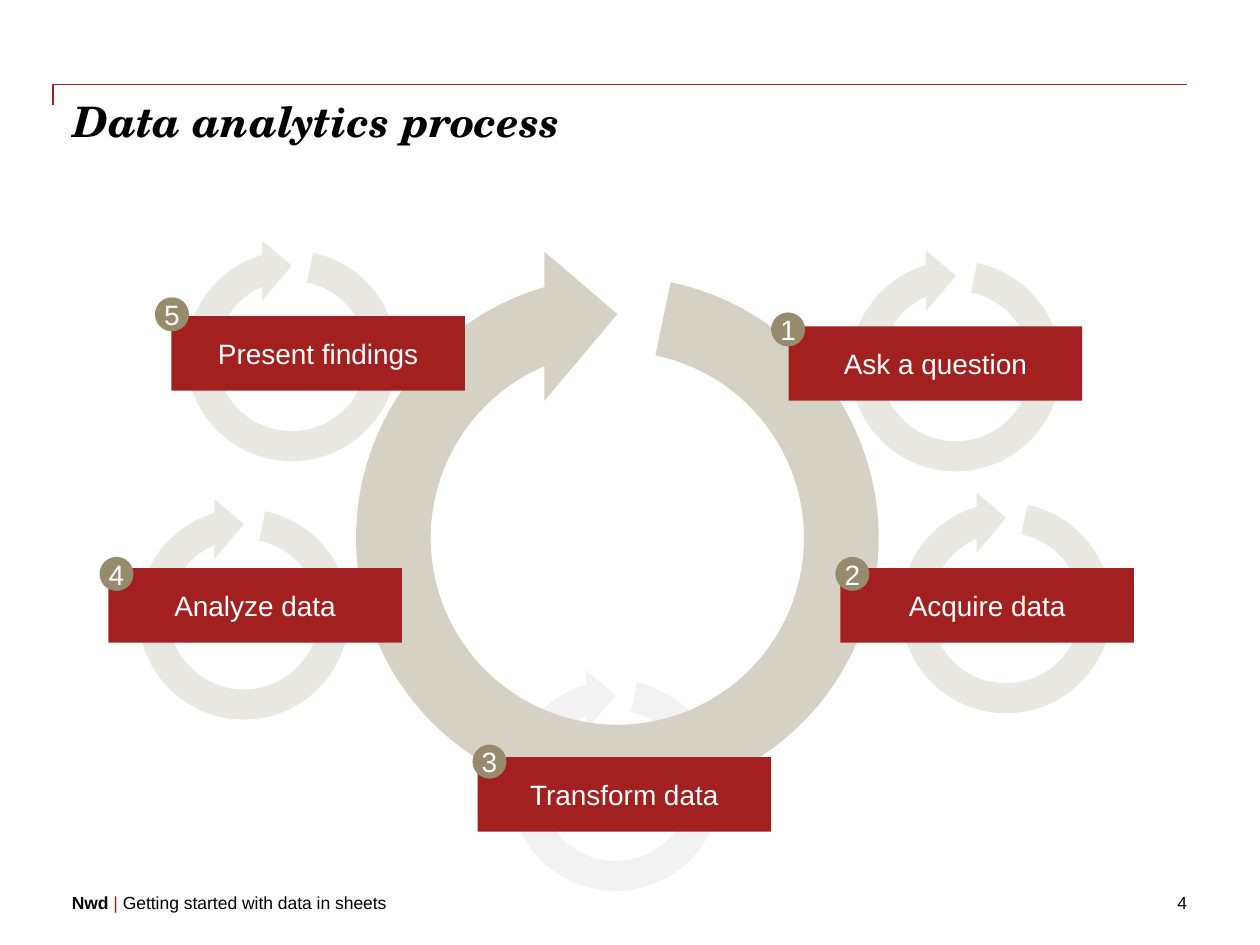
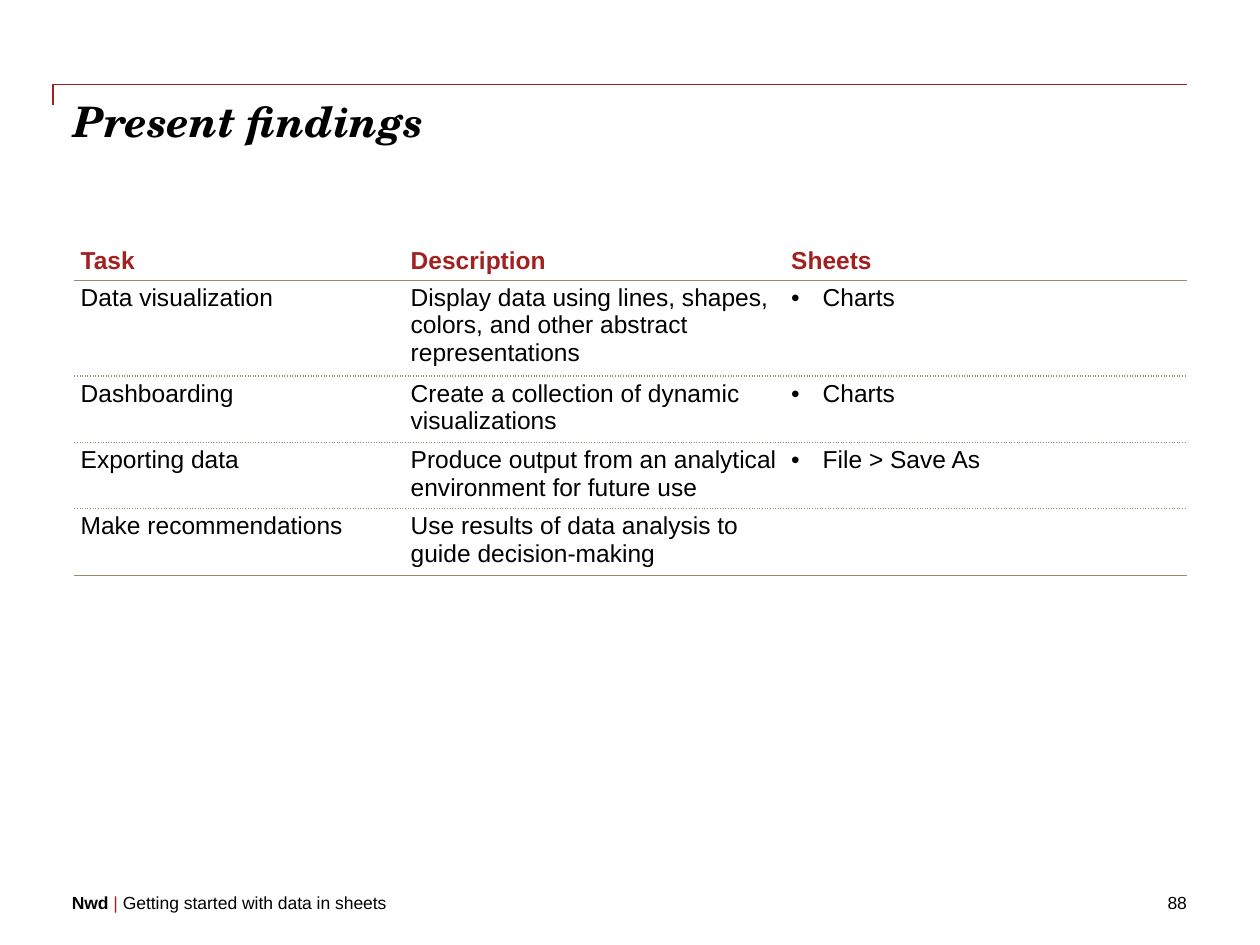
from lxml.etree import SubElement
from pptx import Presentation
from pptx.dml.color import RGBColor
from pptx.enum.shapes import MSO_SHAPE
from pptx.enum.text import MSO_ANCHOR, PP_ALIGN
from pptx.oxml.ns import qn
from pptx.util import Emu, Inches, Pt

RED = RGBColor(0xA3, 0x20, 0x20)
OLIVE = RGBColor(0x96, 0x8C, 0x6D)
SAND = RGBColor(0xD5, 0xD1, 0xC5)
PALE_SAND = RGBColor(0xEA, 0xE8, 0xE2)
PALE_GREY = RGBColor(0xF2, 0xF2, 0xF2)
BLACK = RGBColor(0, 0, 0)
WHITE = RGBColor(255, 255, 255)

TITLE = {"name": "TeX Gyre Schola", "size": Pt(24), "bold": True, "italic": True}
SMALL = {"name": "Arial", "size": Pt(10)}
LABEL = {"name": "Arial", "size": Pt(16)}
BODY = {"name": "Arial", "size": Pt(14)}
HEADING = {**BODY, "bold": True}

SLIDE_WIDTH, SLIDE_HEIGHT = 10, 7.5
LEFT, RIGHT = 0.58, 9.42
RULE_LEFT, RULE_TOP, RULE_FOOT = 0.42, 0.67, 0.83
FOOTER_TOP, FOOTER_HEIGHT, FOOTER_SPLIT = 7.08, 0.17, 7.75
FOOTER = [("Nwd ", {**SMALL, "bold": True}, BLACK), ("| ", SMALL, RED),
          ("Getting started with data in sheets", SMALL, BLACK)]

# label, left and top of the box, the number badge and the small ring, ring colour
STEPS = [
    ("Ask a question", (6.26, 2.59), (6.12, 2.48), (6.63, 1.95), PALE_SAND),
    ("Acquire data", (6.67, 4.51), (6.63, 4.42), (7.03, 3.87), PALE_SAND),
    ("Transform data", (3.79, 6.01), (3.75, 5.91), (3.93, 5.28), PALE_GREY),
    ("Analyze data", (0.86, 4.51), (0.79, 4.42), (0.98, 3.92), PALE_SAND),
    ("Present findings", (1.36, 2.51), (1.23, 2.36), (1.36, 1.87), PALE_SAND),
]
BOX_SIZE, BADGE_SIZE = (2.33, 0.59), (0.27, 0.27)
SMALL_RING, LARGE_RING, LARGE_RING_AT = 1.91, 4.74, (2.53, 1.9)
RING_ADJUSTMENTS = (0.125, 11.42, 204.58, 7.06, 0.125)

TASKS = [
    ("Task", "Description", "Sheets"),
    ("Data visualization",
     "Display data using lines, shapes, colors, and other abstract representations", "Charts"),
    ("Dashboarding", "Create a collection of dynamic visualizations", "Charts"),
    ("Exporting data",
     "Produce output from an analytical environment for future use", "File > Save As"),
    ("Make recommendations", "Use results of data analysis to guide decision-making", ""),
]
TABLE_TOP = 1.93
COLUMN_WIDTHS = (2.62, 3.02, 3.19)
ROW_HEIGHTS = (0.28, 0.72, 0.5, 0.5, 0.5)


def add_run(paragraph, text, style, color):
    run = paragraph.add_run()
    run.text = text
    for attribute, value in style.items():
        setattr(run.font, attribute, value)
    run.font.color.rgb = color


def set_margins(target, horizontal, vertical):
    for side in ("left", "right"):
        setattr(target, f"margin_{side}", Inches(horizontal))
    for side in ("top", "bottom"):
        setattr(target, f"margin_{side}", Inches(vertical))


def add_text(slide, left, top, width, height, runs, align=PP_ALIGN.LEFT):
    frame = slide.shapes.add_textbox(*map(Inches, (left, top, width, height))).text_frame
    frame.word_wrap = True
    set_margins(frame, 0, 0)
    paragraph = frame.paragraphs[0]
    paragraph.alignment = align
    for run in runs:
        add_run(paragraph, *run)


def add_filled_shape(slide, kind, position, size, color, text=""):
    shape = slide.shapes.add_shape(kind, *map(Inches, (*position, *size)))
    shape.shadow.inherit = False
    shape.fill.solid()
    shape.fill.fore_color.rgb = color
    shape.line.fill.background()
    if text:
        shape.text_frame.vertical_anchor = MSO_ANCHOR.MIDDLE
        paragraph = shape.text_frame.paragraphs[0]
        paragraph.alignment = PP_ALIGN.CENTER
        add_run(paragraph, text, LABEL, WHITE)
    return shape


def add_ring(slide, position, diameter, color):
    ring = add_filled_shape(slide, MSO_SHAPE.CIRCULAR_ARROW, position, (diameter, diameter), color)
    ring.rotation = 270
    for index, value in enumerate(RING_ADJUSTMENTS):
        ring.adjustments[index] = value


def add_base_slide(presentation, title, number):
    """Add a blank slide with the corner rule, title, footer and page number."""
    slide = presentation.slides.add_slide(presentation.slide_layouts[6])
    builder = slide.shapes.build_freeform(Inches(RULE_LEFT), Inches(RULE_FOOT))
    corner_and_end = [(RULE_LEFT, RULE_TOP), (RIGHT, RULE_TOP)]
    builder.add_line_segments([(Inches(x), Inches(y)) for x, y in corner_and_end], close=False)
    rule = builder.convert_to_shape()
    rule.shadow.inherit = False
    rule.fill.background()
    rule.line.color.rgb = RED
    rule.line.width = Pt(1)
    add_text(slide, LEFT, 0.76, RIGHT - LEFT, 0.4, [(title, TITLE, BLACK)])
    add_text(slide, 0.57, FOOTER_TOP, 7.18, FOOTER_HEIGHT, FOOTER)
    add_text(slide, FOOTER_SPLIT, FOOTER_TOP, RIGHT - FOOTER_SPLIT, FOOTER_HEIGHT,
             [(str(number), SMALL, BLACK)], PP_ALIGN.RIGHT)
    return slide


def add_process(slide):
    for _, _, _, ring_at, ring_color in STEPS:
        add_ring(slide, ring_at, SMALL_RING, ring_color)
    add_ring(slide, LARGE_RING_AT, LARGE_RING, SAND)
    for label, box_at, *_ in STEPS:
        add_filled_shape(slide, MSO_SHAPE.RECTANGLE, box_at, BOX_SIZE, RED, label)
    for number, (_, _, badge_at, *_) in enumerate(STEPS, start=1):
        badge = add_filled_shape(slide, MSO_SHAPE.OVAL, badge_at, BADGE_SIZE, OLIVE, str(number))
        set_margins(badge.text_frame, 0, 0)


def set_borders(cell, top, bottom):
    """Draw the sides in schema order; a side without a dash style is left empty."""
    properties = cell._tc.get_or_add_tcPr()
    for side, dash in (("L", None), ("R", None), ("T", top), ("B", bottom)):
        line = SubElement(properties, qn(f"a:ln{side}"), w=str(Pt(0.75) if dash else 0))
        if dash:
            fill = SubElement(line, qn("a:solidFill"))
            SubElement(fill, qn("a:srgbClr"), val=str(OLIVE))
            SubElement(line, qn("a:prstDash"), val=dash)
        else:
            SubElement(line, qn("a:noFill"))


def add_bullet(paragraph):
    properties = paragraph._p.get_or_add_pPr()
    indent = Inches(0.25)
    properties.set("marL", str(indent))
    properties.set("indent", str(Emu(-indent)))
    SubElement(properties, qn("a:buFont"), typeface="Arial")
    SubElement(properties, qn("a:buChar"), char="•")


def add_task_table(slide):
    size = (sum(COLUMN_WIDTHS), sum(ROW_HEIGHTS))
    table = slide.shapes.add_table(len(TASKS), len(COLUMN_WIDTHS),
                                   *map(Inches, (LEFT + 0.01, TABLE_TOP, *size))).table
    table.first_row = table.horz_banding = False
    for column, width in zip(table.columns, COLUMN_WIDTHS):
        column.width = Inches(width)
    for row, height in zip(table.rows, ROW_HEIGHTS):
        row.height = Inches(height)

    last = len(TASKS) - 1
    edges = [None, "solid", *["sysDot"] * (last - 1), "solid"]
    for row_index, texts in enumerate(TASKS):
        style, color = (BODY, BLACK) if row_index else (HEADING, RED)
        for column_index, text in enumerate(texts):
            cell = table.cell(row_index, column_index)
            set_margins(cell, 0.05, 0.03)
            set_borders(cell, edges[row_index], edges[row_index + 1])
            cell.fill.solid()
            cell.fill.fore_color.rgb = WHITE
            if not text:
                continue
            paragraph = cell.text_frame.paragraphs[0]
            if row_index and column_index == 2:
                add_bullet(paragraph)
            paragraph.space_after = Pt(6)
            add_run(paragraph, text, style, color)


def main():
    presentation = Presentation()
    presentation.slide_width = Inches(SLIDE_WIDTH)
    presentation.slide_height = Inches(SLIDE_HEIGHT)
    add_process(add_base_slide(presentation, "Data analytics process", 4))
    add_task_table(add_base_slide(presentation, "Present findings", 88))
    presentation.save("out.pptx")


if __name__ == "__main__":
    main()
